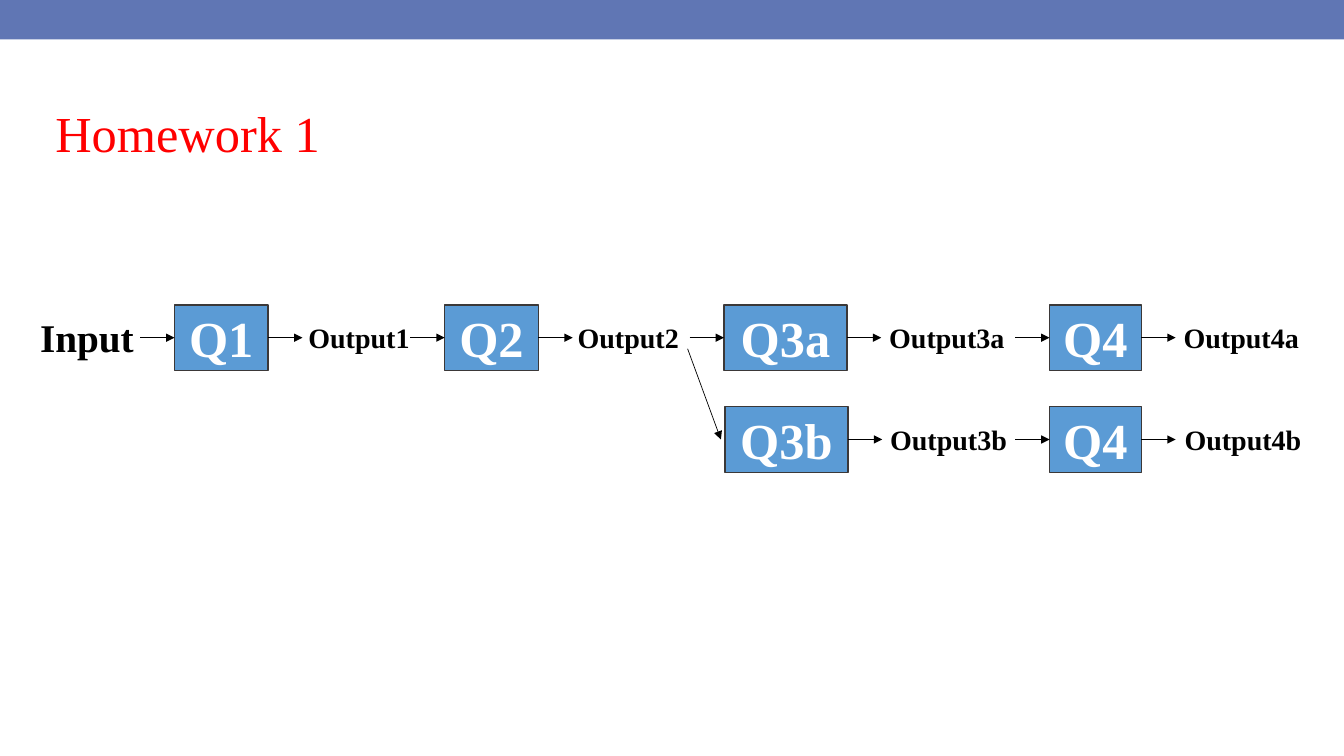
"""Build the Homework 1 slide: a flow of questions and their outputs."""
import dataclasses

import pptx
import pptx.dml.color
import pptx.enum.shapes
import pptx.enum.text
import pptx.oxml
import pptx.oxml.ns
import pptx.util
from pptx.util import Inches


@dataclasses.dataclass(frozen=True)
class Theme:
    font: str = "Times New Roman"
    banner: str = "6076B4"
    title: str = "FF0000"
    box: str = "5B9BD5"
    border: str = "3B3838"
    box_text: str = "FFFFFF"
    ink: str = "000000"
    large: int = 36
    medium: int = 28
    small: int = 20


theme = Theme()
rgb = pptx.dml.color.RGBColor.from_string
rect = pptx.enum.shapes.MSO_SHAPE.RECTANGLE
center = pptx.enum.text.PP_ALIGN.CENTER
left_align = pptx.enum.text.PP_ALIGN.LEFT
middle = pptx.enum.text.MSO_ANCHOR.MIDDLE
top_anchor = pptx.enum.text.MSO_ANCHOR.TOP
fit = pptx.enum.text.MSO_AUTO_SIZE.SHAPE_TO_FIT_TEXT
no_fit = pptx.enum.text.MSO_AUTO_SIZE.NONE


def write(sp, text, size, color, bold=True, align=left_align,
          anchor=top_anchor, wrap=False, auto_size=fit):
    tf = sp.text_frame
    tf.word_wrap = wrap
    tf.auto_size = auto_size
    tf.vertical_anchor = anchor
    p = tf.paragraphs[0]
    p.alignment = align
    r = p.add_run()
    r.text = text
    r.font.name = theme.font
    r.font.size = pptx.util.Pt(size)
    r.font.bold = bold
    r.font.color.rgb = rgb(color)


def add_arrow(x1, y1, x2, y2):
    cxn = s.shapes.add_connector(
        pptx.enum.shapes.MSO_CONNECTOR.STRAIGHT,
        Inches(x1), Inches(y1), Inches(x2), Inches(y2))
    cxn.line.color.rgb = rgb(theme.ink)
    cxn.line.width = pptx.util.Pt(0.5)
    spPr = cxn.element.spPr
    tail = pptx.oxml.ns.qn("a:tailEnd")
    ln = spPr.find(pptx.oxml.ns.qn("a:ln"))
    ln.append(ln.makeelement(tail, {"type": "triangle"}))
    spPr.append(spPr.makeelement(pptx.oxml.ns.qn("a:effectLst"), {}))
    return cxn


prs = pptx.Presentation()
prs.slide_width = Inches(13.33)
prs.slide_height = Inches(7.5)
s = prs.slides.add_slide(prs.slide_layouts[6])

banner = s.shapes.add_shape(rect, 0, 0, prs.slide_width, Inches(0.39))
banner.shadow.inherit = False
banner.fill.solid()
banner.fill.fore_color.rgb = rgb(theme.banner)
banner.line.fill.background()

title = s.shapes.add_textbox(Inches(0.45), Inches(0.96), Inches(3.05), Inches(0.71))
write(title, "Homework 1", theme.large, theme.title, bold=False, wrap=True)

row_a, row_b = 3.35, 4.36
box_height, label_height, arrow_length = 0.65, 0.44, 0.34

input_label = s.shapes.add_textbox(Inches(0.3), Inches(3.06), Inches(1.14), Inches(0.57))
write(input_label, "Input", theme.medium, theme.ink)

stages = [
    ("Q1", 1.73, 0.93, "Output1", 2.96, 1.21, row_a),
    ("Q2", 4.41, 0.93, "Output2", 5.63, 1.21, row_a),
    ("Q3a", 7.18, 1.22, "Output3a", 8.72, 1.35, row_a),
    ("Q4", 10.41, 0.91, "Output4a", 11.64, 1.35, row_a),
    ("Q3b", 7.19, 1.22, "Output3b", 8.73, 1.37, row_b),
    ("Q4", 10.41, 0.91, "Output4b", 11.65, 1.37, row_b),
]
for question, x, width, output, label_x, label_width, y in stages:
    box = s.shapes.add_shape(rect, Inches(x), Inches(y - box_height / 2),
                             Inches(width), Inches(box_height))
    box.shadow.inherit = False
    box.fill.solid()
    box.fill.fore_color.rgb = rgb(theme.box)
    box.line.color.rgb = rgb(theme.border)
    box.line.width = pptx.util.Pt(1)
    write(box, question, theme.large, theme.box_text, align=center,
          anchor=middle, wrap=True, auto_size=no_fit)

    label = s.shapes.add_textbox(Inches(label_x), Inches(y - label_height / 2),
                                 Inches(label_width), Inches(label_height))
    write(label, output, theme.small, theme.ink)

    right = x + width
    add_arrow(right, y, right + arrow_length, y).begin_connect(box, 3)
    if question != "Q3b":
        add_arrow(x - arrow_length, y, x, y).end_connect(box, 1)

add_arrow(6.82, 3.46, 7.15, row_b)

prs.save("out.pptx")
